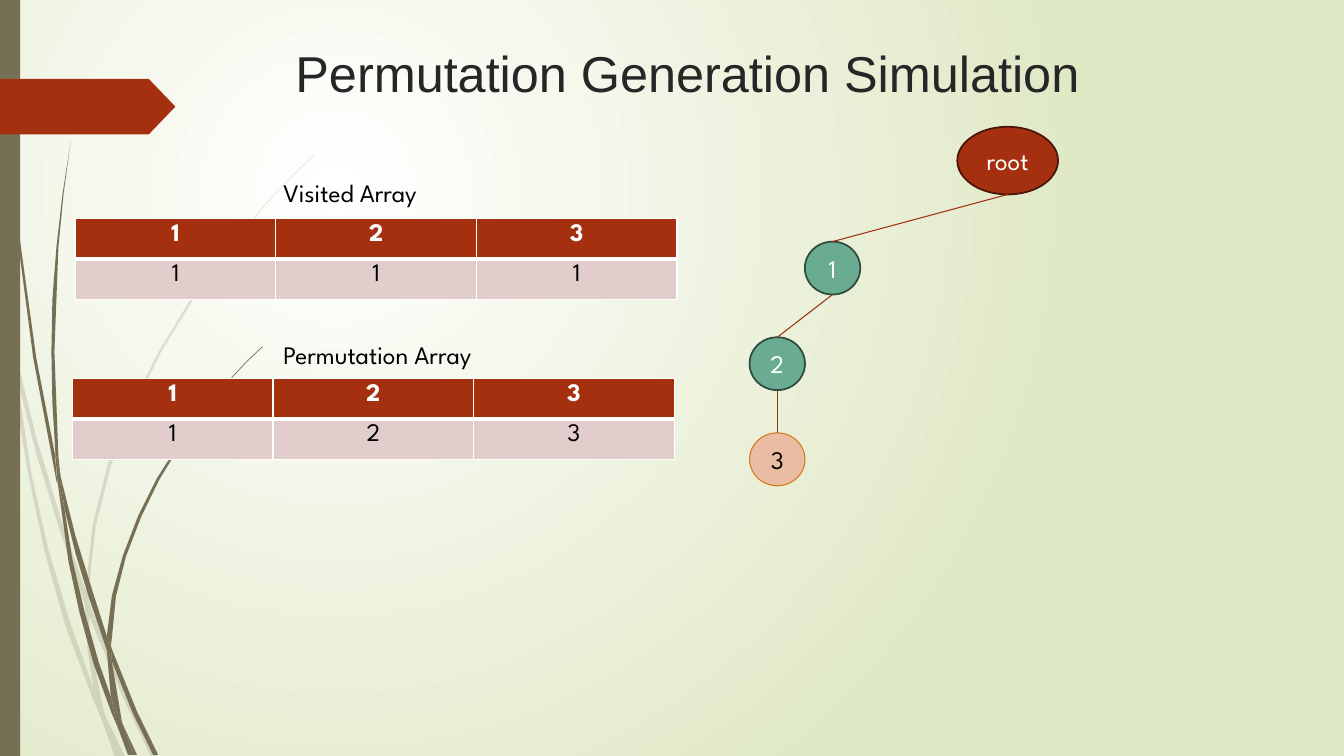
import dataclasses
import pptx
import pptx.dml.color
import pptx.enum.shapes
import pptx.enum.text
import pptx.oxml.ns
import pptx.util
from lxml import etree

Pt = pptx.util.Pt
qn = pptx.oxml.ns.qn
KIND = pptx.enum.shapes.MSO_SHAPE
ALIGN = pptx.enum.text.PP_ALIGN
ANCHOR = pptx.enum.text.MSO_ANCHOR


@dataclasses.dataclass(frozen=True)
class Theme:
    red: str = "A53010"
    edge: str = "481507"
    link: str = "9E2E0F"
    green: str = "6AAC91"
    moss: str = "2E4B40"
    peach: str = "EBBCA4"
    amber: str = "D47817"
    rose: str = "E1CDCC"
    olive: str = "766F54"
    lime: str = "DFE8C4"
    ink: str = "262626"
    black: str = "000000"
    white: str = "FFFFFF"
    head: str = "Arial"
    body: str = "League Spartan"
    large: int = 36
    small: int = 18


T = Theme()

# Outlines of the stem parts, on a grid of 0.72 points
GRID = 0.72
PALE = [
    [(11, 350), (9, 322), (0, 282), (0, 299), (10, 344)],
    [(58, 522), (84, 599), (85, 586), (62, 520), (36, 434), (14, 345), (17, 376), (36, 450)],
    [(92, 607), (88, 596), (88, 610), (123, 694), (150, 751), (155, 751), (127, 692)],
    [(119, 751), (124, 751), (105, 711)],
    [(93, 683), (70, 619), (48, 545), (31, 469), (17, 376), (11, 350), (18, 411), (28, 470),
     (44, 546), (65, 621), (92, 693), (101, 714), (99, 707)],
    [(84, 599), (87, 646), (93, 683), (96, 692), (105, 711), (103, 706), (91, 646), (88, 610),
     (88, 608)],
    [(88, 584), (95, 522), (110, 462), (133, 404), (160, 349), (193, 295), (229, 245), (268, 198),
     (290, 175), (312, 154), (312, 153), (289, 175), (268, 197), (228, 244), (191, 294),
     (158, 348), (130, 403), (107, 461), (92, 521), (85, 584), (85, 586), (88, 596)],
    [(101, 714), (114, 751), (119, 751)],
    [(88, 608), (88, 610), (88, 596), (85, 586), (84, 599)],
    [(96, 692), (93, 683), (99, 707), (101, 714), (119, 751), (105, 711)],
]
DARK = [
    [(7, 110), (17, 233), (33, 355), (56, 477), (57, 481), (55, 457), (55, 453), (36, 355),
     (19, 232), (8, 109), (5, 48), (4, 0), (3, 0), (4, 48)],
    [(88, 592), (106, 645), (106, 631), (93, 590), (75, 532), (60, 472), (64, 505), (75, 549)],
    [(113, 649), (110, 641), (111, 656), (132, 708), (152, 749), (157, 749), (136, 706)],
    [(110, 691), (98, 657), (84, 607), (72, 556), (64, 505), (57, 477), (68, 557), (79, 608),
     (93, 659), (111, 708), (117, 722), (116, 717)],
    [(60, 472), (58, 453), (54, 349), (58, 245), (63, 193), (70, 141), (62, 193), (56, 245),
     (52, 297), (51, 349), (52, 400), (55, 449)],
    [(133, 749), (136, 749), (122, 719)],
    [(57, 477), (64, 505), (60, 472), (55, 449), (55, 453)],
    [(111, 633), (115, 592), (125, 552), (140, 513), (158, 476), (180, 440), (205, 406),
     (231, 374), (245, 359), (261, 344), (260, 344), (245, 358), (231, 373), (204, 405),
     (179, 438), (156, 474), (137, 512), (122, 551), (111, 591), (106, 631), (110, 641)],
    [(117, 722), (127, 749), (131, 749)],
    [(106, 645), (110, 691), (116, 706), (122, 719), (121, 716), (111, 656), (109, 651)],
    [(106, 645), (109, 651), (111, 656), (110, 641), (106, 631)],
    [(116, 706), (110, 691), (116, 717), (117, 722), (130, 749), (133, 749), (122, 719)],
]


def rgb(code):
    return pptx.dml.color.RGBColor.from_string(code)


def paint(shape, fill, line=None, width=0):
    shape.shadow.inherit = False
    shape.fill.solid()
    shape.fill.fore_color.rgb = rgb(fill)
    if line:
        shape.line.color.rgb = rgb(line)
        shape.line.width = Pt(width)
    else:
        shape.line.fill.background()


def write(frame, text, color, size=T.small, face=T.body, bold=False, align=ALIGN.LEFT):
    frame.text = text
    par = frame.paragraphs[0]
    par.alignment = align
    par.font.size = Pt(size)
    par.font.name = face
    par.font.bold = bold
    par.font.color.rgb = rgb(color)


def stems(slide, parts, left, top, alpha=None):
    for part in parts:
        rim = [(Pt(left + GRID * x), Pt(top + GRID * y)) for x, y in part]
        pen = slide.shapes.build_freeform(*rim[0])
        pen.add_line_segments(rim[1:], close=True)
        shape = pen.convert_to_shape()
        paint(shape, T.olive)
        if alpha:
            tint = shape.element.spPr.find(qn("a:solidFill"))[0]
            etree.SubElement(tint, qn("a:alpha"), val=str(alpha * 1000))


def decor(slide, left, top, height):
    # Radial background
    fill = slide.background.fill
    fill.gradient()
    for stop, code in zip(fill.gradient_stops, (T.white, T.lime)):
        stop.color.rgb = rgb(code)
    grad = slide.element.find(".//" + qn("a:gradFill"))
    grad.remove(grad.find(qn("a:lin")))
    ring = etree.SubElement(grad, qn("a:path"), path="circle")
    etree.SubElement(ring, qn("a:fillToRect"), l="50000", t="50000", r="100000", b="100000")
    # Stems, side bar and arrow tag
    stems(slide, PALE, left, top, 20)
    stems(slide, DARK, left, top)
    bar = slide.shapes.add_shape(KIND.RECTANGLE, Pt(left), Pt(top), Pt(14.4), Pt(height))
    paint(bar, T.olive)
    tag = slide.shapes.add_shape(KIND.PENTAGON, Pt(left), Pt(top + 56.3), Pt(125.3), Pt(39.8))
    tag.adjustments[0] = 0.48
    paint(tag, T.red)


def heading(slide, text, left, top, width, height):
    title = slide.shapes.title
    title.left, title.top, title.width, title.height = map(Pt, (left, top, width, height))
    frame = title.text_frame
    write(frame, text, T.ink, T.large, T.head)
    frame.word_wrap = True
    frame.vertical_anchor = ANCHOR.TOP


def border(cell, widths):
    props = cell._tc.get_or_add_tcPr()
    for i, (side, width) in enumerate(widths.items()):
        line = etree.Element(qn("a:ln" + side), w=str(Pt(width)))
        fill = etree.SubElement(line, qn("a:solidFill"))
        etree.SubElement(fill, qn("a:srgbClr"), val=T.white)
        props.insert(i, line)


def array(slide, rows, left, top, width, height):
    shape = slide.shapes.add_table(len(rows), len(rows[0]), Pt(left), Pt(top), Pt(width), Pt(height))
    for r, row in enumerate(rows):
        first = r == 0
        for c, text in enumerate(row):
            cell = shape.table.cell(r, c)
            cell.fill.solid()
            cell.fill.fore_color.rgb = rgb(T.red if first else T.rose)
            write(cell.text_frame, text, T.white if first else T.black,
                  bold=first, align=ALIGN.CENTER)
            border(cell, {"L": 1, "R": 1, "T": 1 if first else 3, "B": 3 if first else 1})


def label(slide, text, left, top, width):
    box = slide.shapes.add_textbox(Pt(left), Pt(top), Pt(width), Pt(28.8))
    box.text_frame.word_wrap = False
    write(box.text_frame, text, T.black)


def node(slide, text, mid, top, width, height, fill, line, weight, color):
    shape = slide.shapes.add_shape(KIND.OVAL, Pt(mid - width / 2), Pt(top), Pt(width), Pt(height))
    paint(shape, fill, line, weight)
    frame = shape.text_frame
    frame.margin_left = frame.margin_right = 0
    frame.vertical_anchor = ANCHOR.MIDDLE
    write(frame, text, color, align=ALIGN.CENTER)
    return shape


def link(slide, upper, lower):
    x, y = upper.left + upper.width // 2, upper.top + upper.height
    line = slide.shapes.add_connector(pptx.enum.shapes.MSO_CONNECTOR.STRAIGHT, x, y, x, y)
    line.end_connect(lower, 0)
    line.line.color.rgb = rgb(T.link)
    line.line.width = Pt(0.75)
    etree.SubElement(line.element.spPr, qn("a:effectLst"))


def tree(slide, left, top):
    chain = [node(slide, "root", left + 184.2, top, 72, 48.3, T.red, T.edge, 1.25, T.white)]
    looks = [("1", 59.1, T.green, T.moss, 1.25, T.white),
             ("2", 19.6, T.green, T.moss, 1.25, T.white),
             ("3", 19.6, T.peach, T.amber, 0.75, T.black)]
    for i, (text, mid, *look) in enumerate(looks):
        chain.append(node(slide, text, left + mid, top + 82 + 68.3 * i, 39.6, 37.8, *look))
    for upper, lower in zip(chain, chain[1:]):
        link(slide, upper, lower)


def main():
    deck = pptx.Presentation()
    deck.slide_width, deck.slide_height = Pt(960), Pt(540)
    slide = deck.slides.add_slide(deck.slide_layouts[5])
    decor(slide, 0, 0, 540)
    heading(slide, "Permutation Generation Simulation", 203.8, 26.6, 702, 64)
    tree(slide, 535.6, 90.6)
    # Arrays with their labels
    label(slide, "Visited Array", 195.3, 123.1, 123.8)
    array(slide, ["123", "111"], 53.8, 156.2, 429.8, 57.6)
    label(slide, "Permutation Array", 195.3, 239, 173.5)
    array(slide, ["123", "123"], 51.8, 270.4, 429.8, 57.6)
    deck.save("out.pptx")


if __name__ == "__main__":
    main()
